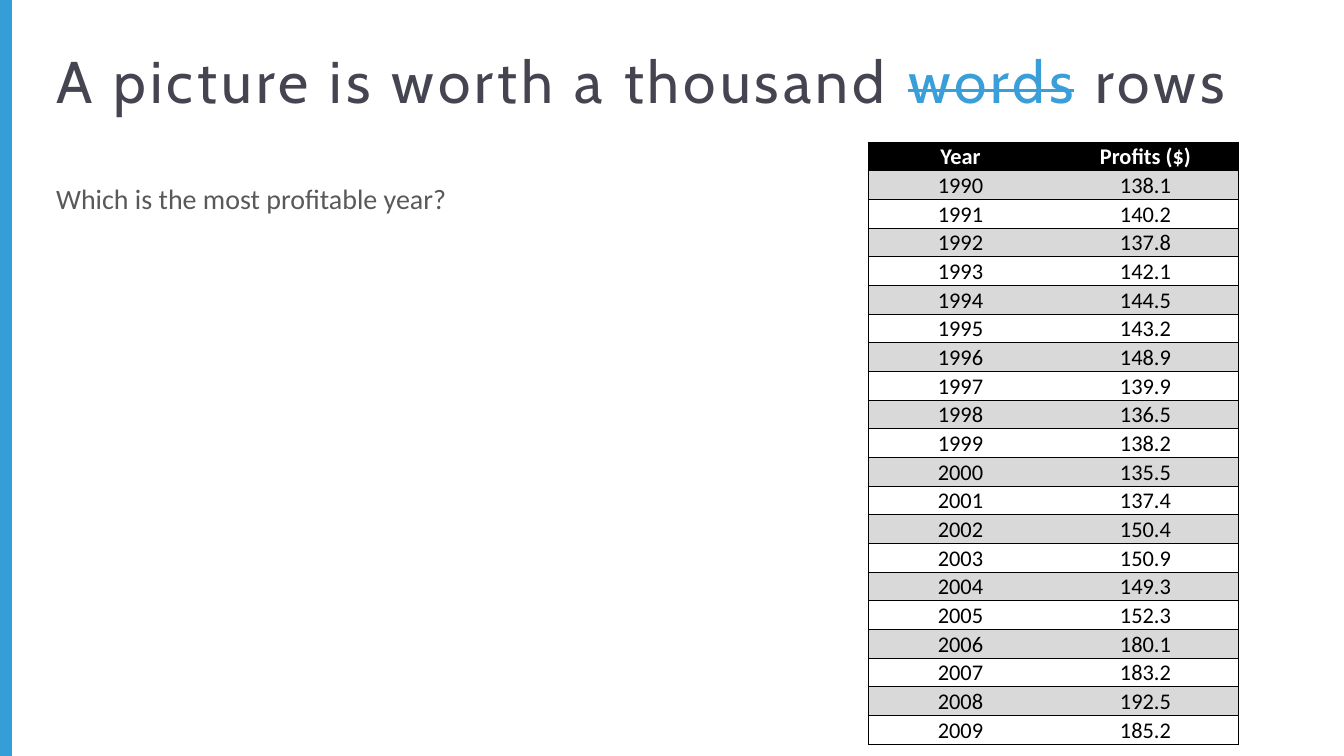
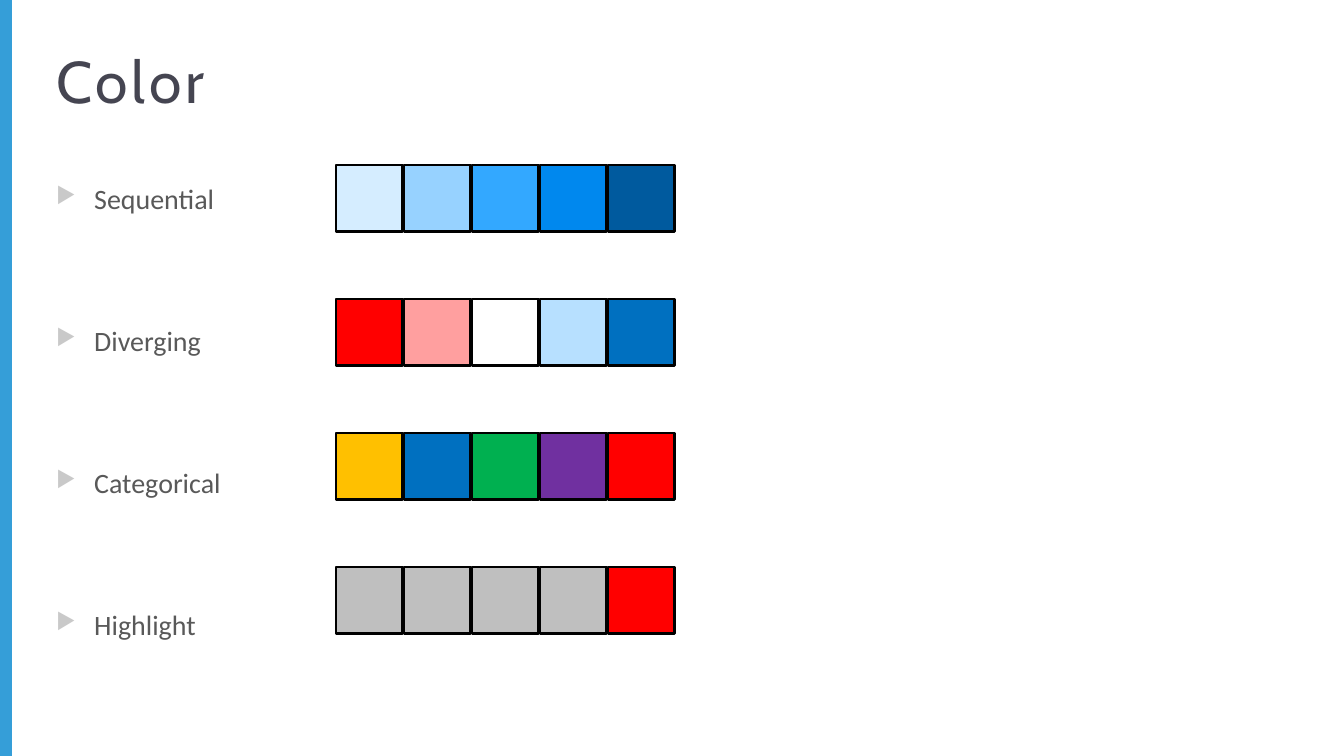
from dataclasses import dataclass

from lxml.etree import SubElement
from pptx import Presentation
from pptx.dml.color import RGBColor
from pptx.enum.shapes import MSO_SHAPE as Shape
from pptx.enum.text import MSO_ANCHOR as Anchor, PP_ALIGN as Align
from pptx.oxml.ns import qn
from pptx.util import Inches, Pt


@dataclass(frozen=True)
class Theme:
    accent: str = "359ED8"
    struck: str = "3A9ED9"
    title: str = "454551"
    body: str = "595959"
    bullet: str = "C9C9C9"
    stripe: str = "D9D9D9"
    black: str = "000000"
    white: str = "FFFFFF"
    title_font: str = "Cabin"
    body_font: str = "Calibri"
    title_size: float = 31.5
    body_size: float = 15
    table_size: float = 12
    title_tracking: float = 2.2


THEME = Theme()
PX_PER_INCH = 134.4
WIDTH, HEIGHT = 1344, 756
BODY = (43, 175, 1064, 462)
NO_TABLE_STYLE = "{2D5ABB26-0587-4C30-8999-92F81FD0307C}"

PROFITS = [
    138.1, 140.2, 137.8, 142.1, 144.5, 143.2, 148.9, 139.9, 136.5, 138.2,
    135.5, 137.4, 150.4, 150.9, 149.3, 152.3, 180.1, 183.2, 192.5, 185.2,
]
PALETTES = {
    "Sequential": ["D5EDFF", "97D2FF", "33A8FF", "0088EE", "005A9E"],
    "Diverging": ["FF0000", "FF9F9F", "FFFFFF", "B7E0FF", "0070C0"],
    "Categorical": ["FFC000", "0070C0", "00B050", "7030A0", "FF0000"],
    "Highlight": ["BFBFBF"] * 4 + ["FF0000"],
}


def px(*lengths):
    return [Inches(length / PX_PER_INCH) for length in lengths]


def rgb(color):
    return RGBColor.from_string(color)


def write(para, text, *, size=THEME.body_size, font=THEME.body_font,
          color=THEME.body, bold=False, strike=False, tracking=0):
    span = para.add_run()
    span.text = text
    span.font.size = Pt(size)
    span.font.name = font
    span.font.bold = bold
    span.font.color.rgb = rgb(color)
    properties = span._r.get_or_add_rPr()
    if strike:
        properties.set("strike", "sngStrike")
    if tracking:
        properties.set("spc", str(round(tracking * 100)))


def add_text_box(page, place):
    frame = page.shapes.add_textbox(*px(*place)).text_frame
    frame.word_wrap = True
    frame.vertical_anchor = Anchor.TOP
    return frame


def add_rectangle(shapes, place, fill, line=None):
    box = shapes.add_shape(Shape.RECTANGLE, *px(*place))
    box.shadow.inherit = False
    box.fill.solid()
    box.fill.fore_color.rgb = rgb(fill)
    if line:
        box.line.color.rgb = rgb(line)
        box.line.width = Pt(1.5)
    else:
        box.line.fill.background()


def add_page(deck, title, title_width=1064):
    page = deck.slides.add_slide(deck.slide_layouts[6])
    add_rectangle(page.shapes, (0, 0, 12, HEIGHT), THEME.accent)
    para = add_text_box(page, (43, 38, title_width, 109)).paragraphs[0]
    for text, look in title:
        write(para, text, **{"size": THEME.title_size, "font": THEME.title_font,
                             "color": THEME.title,
                             "tracking": THEME.title_tracking, **look})
    return page


def add_bullet(para):
    properties = para._p.get_or_add_pPr()
    indent = px(38)[0]
    properties.set("marL", str(indent))
    properties.set("indent", str(-indent))
    color = SubElement(properties, qn("a:buClr"))
    SubElement(color, qn("a:srgbClr"), val=THEME.bullet)
    SubElement(properties, qn("a:buSzPct"), val="80000")
    SubElement(properties, qn("a:buChar"), char="▶")


def add_bullet_list(page, place, items, gap):
    frame = add_text_box(page, place)
    for index, item in enumerate(items):
        para = frame.add_paragraph() if index else frame.paragraphs[0]
        add_bullet(para)
        para.space_before = Pt(gap if index else 0)
        write(para, item)


def add_borders(cell, sides):
    properties = cell._tc.get_or_add_tcPr()
    for side in sides:
        border = SubElement(properties, qn(f"a:ln{side}"), w=str(Pt(0.5)))
        fill = SubElement(border, qn("a:solidFill"))
        SubElement(fill, qn("a:srgbClr"), val=THEME.black)


def fill_cell(cell, text, *, sides, fill, color, bold):
    add_borders(cell, sides)
    cell.fill.solid()
    cell.fill.fore_color.rgb = rgb(fill)
    cell.vertical_anchor = Anchor.BOTTOM
    cell.margin_left = cell.margin_right = cell.margin_top = px(1)[0]
    cell.margin_bottom = 0
    para = cell.text_frame.paragraphs[0]
    para.alignment = Align.CENTER
    write(para, text, size=THEME.table_size, color=color, bold=bold)


def add_striped_table(page, place, records):
    table = page.shapes.add_table(len(records), len(records[0]), *px(*place)).table
    table.horz_banding = False
    table._tbl.tblPr.find(qn("a:tableStyleId")).text = NO_TABLE_STYLE
    for row, record in enumerate(records):
        header = row == 0
        stripe = THEME.stripe if row % 2 else THEME.white
        for column, text in enumerate(record):
            fill_cell(table.cell(row, column), text,
                      sides="RTB" if column else "LTB",
                      fill=THEME.black if header else stripe,
                      color=THEME.white if header else THEME.black,
                      bold=header)


def add_swatches(page, left, top, colors, size=67, step=68):
    group = page.shapes.add_group_shape()
    for index, color in enumerate(colors):
        add_rectangle(group.shapes, (left + index * step, top, size, size),
                      color, THEME.black)


def add_profits_page(deck):
    title = [("A picture is worth a thousand ", {}),
             ("words", {"color": THEME.struck, "strike": True}),
             (" rows", {})]
    page = add_page(deck, title, title_width=1223)
    write(add_text_box(page, BODY).paragraphs[0],
          "Which is the most profitable year?")
    records = [("Year", "Profits ($)")]
    records += [(str(year), str(profit))
                for year, profit in enumerate(PROFITS, start=1990)]
    add_striped_table(page, (868, 142, 370, 603), records)


def add_color_page(deck):
    page = add_page(deck, [("Color", {})])
    for index, colors in enumerate(PALETTES.values()):
        add_swatches(page, 336, 165 + index * 134, colors)
    add_bullet_list(page, BODY, PALETTES, gap=58)


def main():
    deck = Presentation()
    deck.slide_width, deck.slide_height = px(WIDTH, HEIGHT)
    add_profits_page(deck)
    add_color_page(deck)
    deck.save("out.pptx")


if __name__ == "__main__":
    main()
